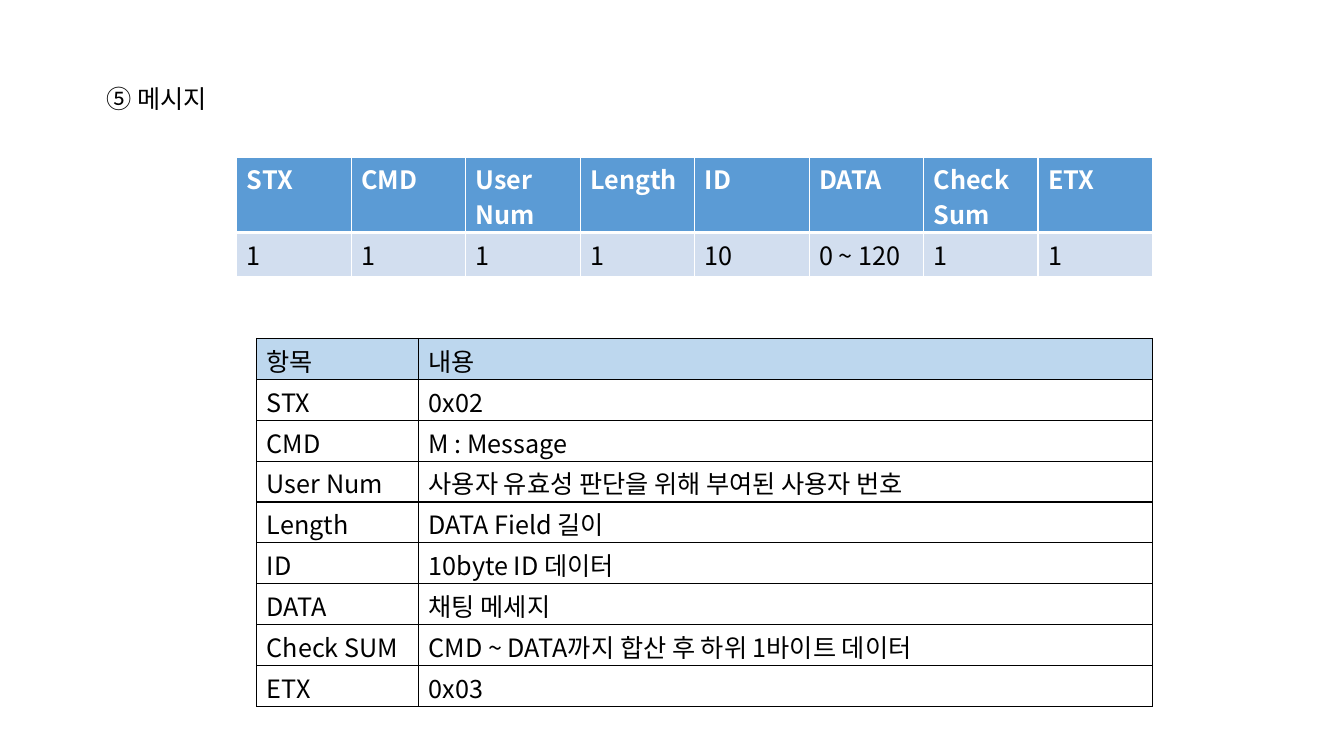
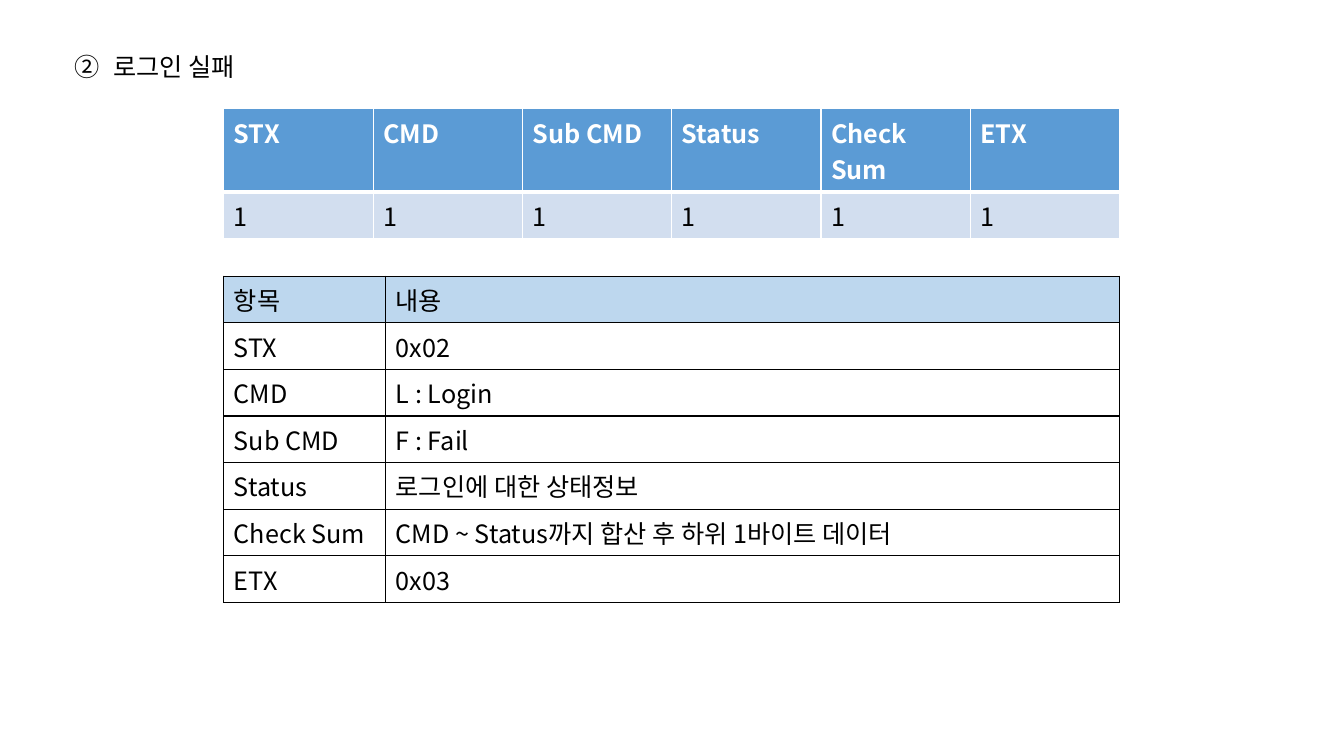
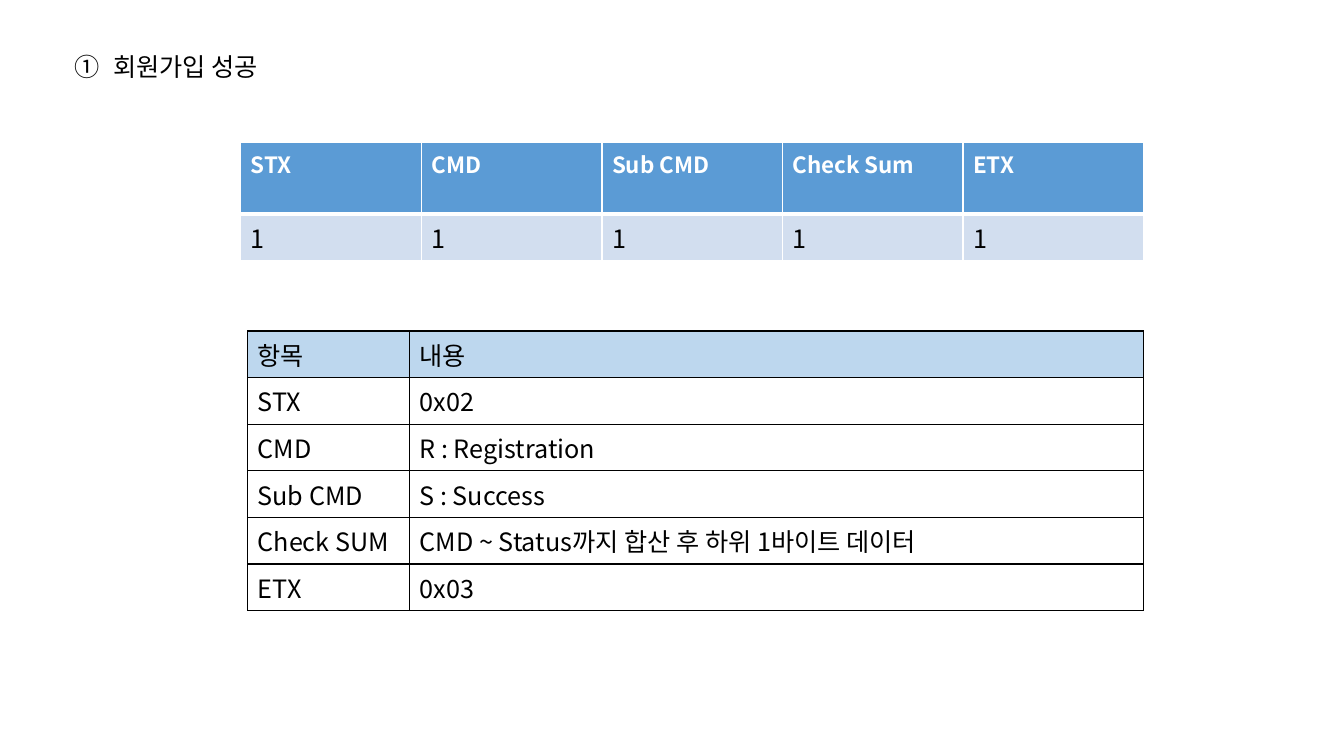
"""Build three slides that describe the packets of a chat protocol."""
from dataclasses import dataclass

from lxml import etree
from pptx import Presentation
from pptx.dml.color import RGBColor
from pptx.enum.text import MSO_ANCHOR, MSO_AUTO_SIZE, PP_ALIGN
from pptx.oxml.ns import qn
from pptx.presentation import Presentation as Deck
from pptx.slide import Slide
from pptx.table import Table, _Cell
from pptx.text.text import _Paragraph
from pptx.util import Cm, Pt

TOP, MIDDLE = MSO_ANCHOR.TOP, MSO_ANCHOR.MIDDLE
LEFT = PP_ALIGN.LEFT
NO_AUTOFIT = MSO_AUTO_SIZE.NONE

COLORS = {
    "text": "000000",
    "header": "5B9BD5",
    "sizes": "D2DEEF",
    "caption": "BDD7EE",
    "white": "FFFFFF",
}
FONT = "Noto Sans CJK KR"
TITLE_ONLY = 5
TITLE_HEIGHT = 1.02
HANGING = 0.97
ROW_HEIGHT = 1.03
COMPACT_LINE = 25
FIELD_WIDTHS = (4.08, 18.5)
TITLE_FRAME = {
    "word_wrap": False,
    "auto_size": NO_AUTOFIT,
    "vertical_anchor": MIDDLE,
    "margin_left": Cm(0.25),
    "margin_right": Cm(0.25),
    "margin_top": Cm(0.13),
    "margin_bottom": Cm(0.13),
}


@dataclass(frozen=True)
class Title:
    text: str
    left: float
    top: float
    width: float
    hanging: bool = False
    numbered: bool = False


@dataclass(frozen=True)
class Layout:
    left: float
    top: float
    width: float
    rows: tuple[float, float]
    header_size: int = 18


@dataclass(frozen=True)
class Packet:
    title: Title
    layout: Layout
    sizes: dict[str, str]
    details_at: tuple[float, float]
    details: dict[str, str]
    compact: bool = False


@dataclass(frozen=True)
class CellStyle:
    fill: str | None
    border: str
    color: str = "text"
    size: int = 18
    bold: bool = False
    top: float = 1
    bottom: float = 1
    compact: bool = False


PACKETS = (
    Packet(
        Title("⑤ 메시지", 2.44, 1.98, 3.53),
        Layout(5.97, 3.96, 23.08, (1.9, 1.12)),
        {"STX": "1", "CMD": "1", "User Num": "1", "Length": "1",
         "ID": "10", "DATA": "0 ~ 120", "Check Sum": "1", "ETX": "1"},
        (6.47, 8.53),
        {"STX": "0x02",
         "CMD": "M : Message",
         "User Num": "사용자 유효성 판단을 위해 부여된 사용자 번호",
         "Length": "DATA Field 길이",
         "ID": "10byte ID 데이터",
         "DATA": "채팅 메세지",
         "Check SUM": "CMD ~ DATA까지 합산 후 하위 1바이트 데이터",
         "ETX": "0x03"},
        compact=True,
    ),
    Packet(
        Title("②\t로그인 실패", 1.63, 1.17, 5.03, hanging=True),
        Layout(5.64, 2.74, 22.58, (ROW_HEIGHT, ROW_HEIGHT)),
        dict.fromkeys(("STX", "CMD", "Sub CMD", "Status", "Check Sum", "ETX"), "1"),
        (5.64, 6.96),
        {"STX": "0x02",
         "CMD": "L : Login",
         "Sub CMD": "F : Fail",
         "Status": "로그인에 대한 상태정보",
         "Check Sum": "CMD ~ Status까지 합산 후 하위 1바이트 데이터",
         "ETX": "0x03"},
    ),
    Packet(
        Title("회원가입 성공", 1.63, 1.17, 5.54, hanging=True, numbered=True),
        Layout(6.07, 3.6, 22.75, (1.79, ROW_HEIGHT), 16),
        dict.fromkeys(("STX", "CMD", "Sub CMD", "Check Sum", "ETX"), "1"),
        (6.24, 8.34),
        {"STX": "0x02",
         "CMD": "R : Registration",
         "Sub CMD": "S : Success",
         "Check SUM": "CMD ~ Status까지 합산 후 하위 1바이트 데이터",
         "ETX": "0x03"},
    ),
)


def rgb(name: str) -> RGBColor:
    return RGBColor.from_string(COLORS[name])


def format_text(paragraph: _Paragraph, color: str, size: int, bold: bool) -> None:
    for run in paragraph.runs:
        for name, value in {"name": FONT, "size": Pt(size), "bold": bold}.items():
            setattr(run.font, name, value)
        run.font.color.rgb = rgb(color)


def add_title(slide: Slide, title: Title) -> None:
    heading = slide.shapes.title
    place = {"left": title.left, "top": title.top,
             "width": title.width, "height": TITLE_HEIGHT}
    for name, value in place.items():
        setattr(heading, name, Cm(value))
    frame = heading.text_frame
    for name, value in TITLE_FRAME.items():
        setattr(frame, name, value)
    paragraph = frame.paragraphs[0]
    paragraph.text = title.text
    paragraph.alignment = LEFT
    properties = paragraph._p.get_or_add_pPr()
    if title.hanging:
        properties.set("marL", str(Cm(HANGING)))
        properties.set("indent", str(-Cm(HANGING)))
    if title.numbered:
        bullet_font = etree.SubElement(properties, qn("a:buFont"))
        bullet_font.set("typeface", FONT)
        number = etree.SubElement(properties, qn("a:buAutoNum"))
        number.set("type", "circleNumDbPlain")
    format_text(paragraph, "text", 18, False)


def fill_cell(cell: _Cell, text: str, style: CellStyle) -> None:
    cell.text = text
    cell.vertical_anchor = TOP
    paragraph = cell.text_frame.paragraphs[0]
    if style.compact:
        cell.margin_bottom = Cm(0)
        paragraph.line_spacing = Pt(COMPACT_LINE)
    format_text(paragraph, style.color, style.size, style.bold)
    properties = cell._tc.get_or_add_tcPr()
    widths = {"lnL": 1, "lnR": 1, "lnT": style.top, "lnB": style.bottom}
    for side, width in widths.items():
        line = etree.SubElement(properties, qn(f"a:{side}"), w=str(Pt(width)))
        solid = etree.SubElement(line, qn("a:solidFill"))
        etree.SubElement(solid, qn("a:srgbClr"), val=COLORS[style.border])
    if style.fill is None:
        cell.fill.background()
    else:
        cell.fill.solid()
        cell.fill.fore_color.rgb = rgb(style.fill)


def add_grid(slide: Slide, left: float, top: float, widths: tuple[float, ...],
             heights: tuple[float, ...]) -> Table:
    table = slide.shapes.add_table(
        len(heights), len(widths), Cm(left), Cm(top),
        Cm(sum(widths)), Cm(sum(heights))).table
    table.first_row = table.horz_banding = False
    for column, width in zip(table.columns, widths):
        column.width = Cm(width)
    for row, height in zip(table.rows, heights):
        row.height = Cm(height)
    return table


def add_sizes(slide: Slide, packet: Packet) -> None:
    layout, count = packet.layout, len(packet.sizes)
    header = CellStyle("header", "white", "white", layout.header_size, True,
                       bottom=3, compact=packet.compact)
    size = CellStyle("sizes", "white", top=3, compact=packet.compact)
    table = add_grid(slide, layout.left, layout.top,
                     (layout.width / count,) * count, layout.rows)
    for index, (field, length) in enumerate(packet.sizes.items()):
        fill_cell(table.cell(0, index), field, header)
        fill_cell(table.cell(1, index), length, size)


def add_details(slide: Slide, packet: Packet) -> None:
    caption = CellStyle("caption", "text", compact=packet.compact)
    detail = CellStyle(None, "text", compact=packet.compact)
    lines = [("항목", "내용"), *packet.details.items()]
    table = add_grid(slide, *packet.details_at, FIELD_WIDTHS,
                     (ROW_HEIGHT,) * len(lines))
    for row, line in enumerate(lines):
        for column, text in enumerate(line):
            fill_cell(table.cell(row, column), text, detail if row else caption)


def add_packet(deck: Deck, packet: Packet) -> None:
    slide = deck.slides.add_slide(deck.slide_layouts[TITLE_ONLY])
    add_title(slide, packet.title)
    add_sizes(slide, packet)
    add_details(slide, packet)


def main() -> None:
    deck = Presentation()
    deck.slide_width, deck.slide_height = Cm(33.87), Cm(19.05)
    for packet in PACKETS:
        add_packet(deck, packet)
    deck.save("out.pptx")


if __name__ == "__main__":
    main()
